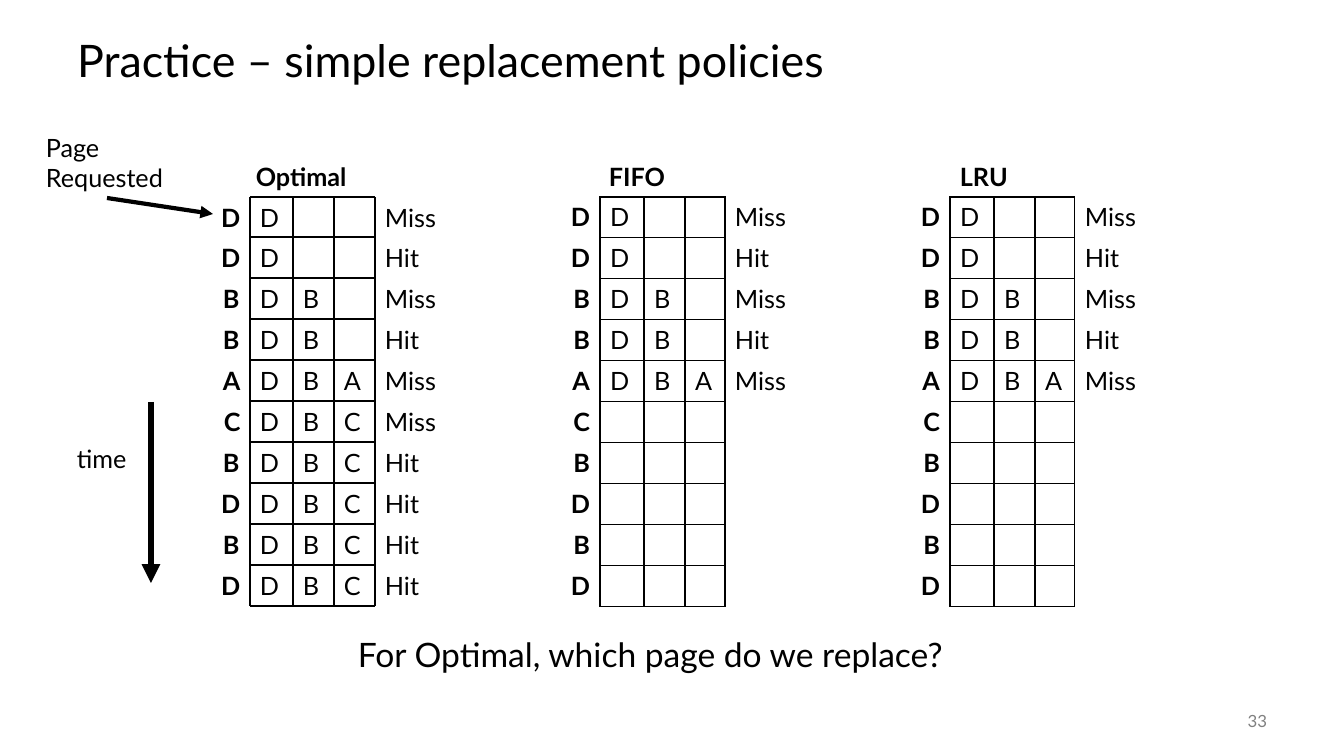
"""Build the slide on simple page replacement policies."""
from dataclasses import dataclass
from typing import Any

from lxml import etree
from pptx import Presentation
from pptx.dml.color import RGBColor
from pptx.enum.shapes import MSO_CONNECTOR
from pptx.enum.text import MSO_ANCHOR, MSO_AUTO_SIZE, PP_ALIGN
from pptx.oxml.ns import qn
from pptx.util import Emu, Pt

STRAIGHT = MSO_CONNECTOR.STRAIGHT
MIDDLE = MSO_ANCHOR.MIDDLE
GROW, FIXED = MSO_AUTO_SIZE.SHAPE_TO_FIT_TEXT, MSO_AUTO_SIZE.NONE
LEFT, RIGHT = PP_ALIGN.LEFT, PP_ALIGN.RIGHT
BLACK = RGBColor(0x00, 0x00, 0x00)
GRAY = RGBColor(0x80, 0x80, 0x80)
FONT = "Lato"
SCALE = 914400 / 100.8
TOP, HEIGHT, ROWS = 197, 409, 10
PAD = 10
EDGES = [250, 293, 334, 375]
COLS = [56, 44, 41, 40, 100]
BOTTOM = 2
SEEN = 5
KEYS = {"D": 221, "B": 223, "A": 223, "C": 224}
KEYEND = 252
WIDTHS = {"D": 28, "B": 26, "A": 26, "C": 26, "Miss": 58, "Hit": 42}
TIGHT = {"margin_left": 0, "margin_right": 0, "margin_top": 0,
         "margin_bottom": 0, "word_wrap": False, "auto_size": GROW}
LOOSE = {"word_wrap": True, "auto_size": GROW}


@dataclass
class Step:
    """One page request, the frames after it and its outcome."""
    page: str
    frames: str
    result: str


@dataclass
class Label:
    """A piece of text with its box in px."""
    text: str
    x: int
    y: int
    w: int
    h: int
    size: int = 18
    bold: bool = False


@dataclass
class Line:
    """A line between two points in px."""
    x1: int
    y1: int
    x2: int
    y2: int
    width: float = 1
    arrow: bool = False


STEPS = [
    Step("D", "D", "Miss"), Step("D", "D", "Hit"),
    Step("B", "DB", "Miss"), Step("B", "DB", "Hit"),
    Step("A", "DBA", "Miss"), Step("C", "DBC", "Miss"),
    Step("B", "DBC", "Hit"), Step("D", "DBC", "Hit"),
    Step("B", "DBC", "Hit"), Step("D", "DBC", "Hit"),
]
LABELS = [
    Label("time", 67, 438, 77, 40),
    Label("Optimal", 246, 156, 132, 40, bold=True),
    Label("FIFO", 599, 156, 119, 40, bold=True),
    Label("LRU", 950, 156, 116, 40, bold=True),
    Label("For Optimal, which page do we replace?", 348, 629, 647, 50, 24),
]


def px(n: int) -> Emu:
    """Turn px into EMU."""
    return Emu(round(n * SCALE))


def level(row: int) -> int:
    """Return the top of a grid row in px."""
    return TOP + HEIGHT * row // ROWS


def apply(obj: Any, values: dict[str, Any]) -> None:
    """Set each named attribute."""
    for name, value in values.items():
        setattr(obj, name, value)


def write(frame: Any, text: str, size: int = 18, bold: bool = False,
          color: RGBColor = BLACK, align: Any = LEFT) -> None:
    """Put one formatted run into a text frame."""
    para = frame.paragraphs[0]
    para.alignment = align
    run = para.add_run()
    run.text = text
    apply(run.font, {"name": FONT, "size": Pt(size), "bold": bold})
    run.font.color.rgb = color


def place(slide: Any, label: Label, form: dict[str, Any] = LOOSE) -> Any:
    """Draw a label and return its box."""
    box = slide.shapes.add_textbox(
        px(label.x), px(label.y), px(label.w), px(label.h))
    apply(box.text_frame, form)
    write(box.text_frame, label.text, label.size, label.bold)
    return box


def draw(slide: Any, line: Line) -> Any:
    """Draw a line or an arrow."""
    link = slide.shapes.add_connector(
        STRAIGHT, px(line.x1), px(line.y1), px(line.x2), px(line.y2))
    link.line.color.rgb = BLACK
    link.line.width = Pt(line.width)
    props = link.element.spPr
    if line.arrow:
        etree.SubElement(props.find(qn("a:ln")), qn("a:tailEnd"), type="triangle")
    etree.SubElement(props, qn("a:effectLst"))
    return link


def border(cell: Any, sides: str) -> None:
    """Rule the named sides of a cell and clear the others."""
    props = cell._tc.get_or_add_tcPr()
    for side in "LRTB":
        rule = etree.SubElement(props, qn(f"a:ln{side}"), w=str(Pt(1)))
        if side in sides:
            fill = etree.SubElement(rule, qn("a:solidFill"))
            etree.SubElement(fill, qn("a:srgbClr"), val=str(BLACK))
        else:
            etree.SubElement(rule, qn("a:noFill"))
    cell.fill.background()


def chart(slide: Any, x: int) -> None:
    """Draw the practice table of one policy."""
    table = slide.shapes.add_table(
        ROWS, len(COLS), px(x), px(TOP), px(sum(COLS)), px(HEIGHT)).table
    apply(table, {"first_row": False, "horz_banding": False})
    for col, width in zip(table.columns, COLS):
        col.width = px(width)
    for i, step in enumerate(STEPS):
        table.rows[i].height = px(level(i + 1) - level(i))
        known = i < SEEN
        frames = step.frames if known else ""
        texts = [step.page, *frames.ljust(3), step.result if known else ""]
        for j, text in enumerate(texts):
            cell = table.cell(i, j)
            border(cell, {0: "R", len(COLS) - 1: "L"}.get(j, "LRTB"))
            if text.strip():
                write(cell.text_frame, text, bold=j == 0,
                      align=LEFT if j else RIGHT)


def solve(slide: Any) -> None:
    """Draw the grid and steps of the optimal policy."""
    for x in EDGES:
        draw(slide, Line(x, TOP, x, TOP + HEIGHT))
    for i in range(ROWS + 1):
        draw(slide, Line(EDGES[0], level(i), EDGES[-1], level(i)))
    for i, step in enumerate(STEPS):
        y = level(i) + 5
        left = KEYS[step.page]
        place(slide, Label(step.page, left, y, KEYEND - left, 35, bold=True), TIGHT)
        items = [*zip(EDGES, step.frames), (EDGES[-1], step.result)]
        for x, text in items:
            place(slide, Label(text, x + PAD, y, WIDTHS[text], 35), TIGHT)


def main() -> None:
    """Build and save the slide."""
    deck = Presentation()
    apply(deck, {"slide_width": px(1344), "slide_height": px(756)})
    slide = deck.slides.add_slide(deck.slide_layouts[5])
    title = slide.shapes.title
    apply(title, {"left": px(67), "top": px(25), "width": px(1210), "height": px(76)})
    apply(title.text_frame, {"vertical_anchor": MIDDLE, "word_wrap": True,
                             "auto_size": FIXED})
    write(title.text_frame, "Practice – simple replacement policies", 32)
    title.text_frame.paragraphs[0].line_spacing = 0.9
    number = slide.shapes.add_textbox(px(1176), px(701), px(101), px(40))
    apply(number.text_frame, {"vertical_anchor": MIDDLE, "word_wrap": True})
    write(number.text_frame, "33", 12, color=GRAY, align=RIGHT)
    for x in (544, 894):
        chart(slide, x)
    draw(slide, Line(151, 402, 151, 583, 4.5, True))
    for label in LABELS:
        place(slide, label)
    asked = place(slide, Label("Page Requested", 36, 127, 142, 71))
    arrow = draw(slide, Line(107, 198, 213, 214, 3, True))
    arrow.begin_connect(asked, BOTTOM)
    solve(slide)
    deck.save("out.pptx")


if __name__ == "__main__":
    main()
